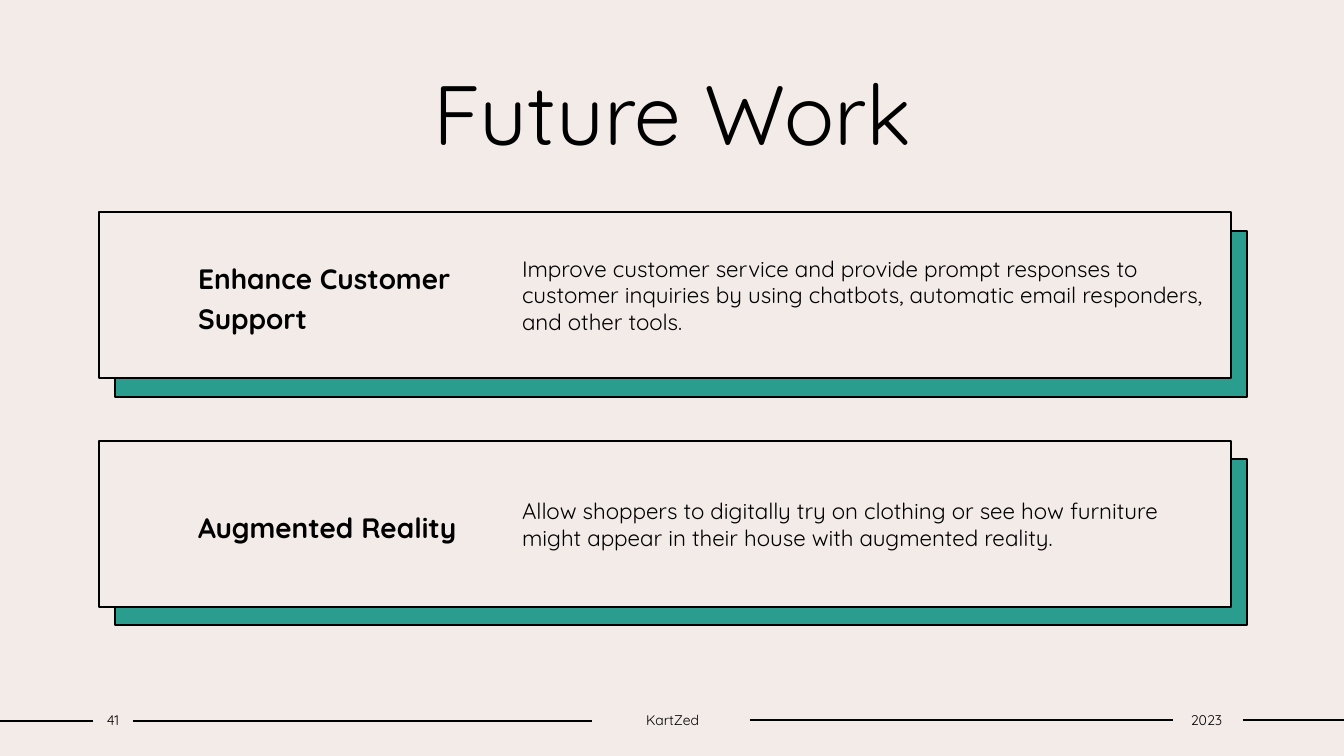
from lxml import etree
from pptx import Presentation
from pptx import util as u
from pptx.dml.color import RGBColor
from pptx.enum import shapes, text
from pptx.oxml import ns

COLORS = {"paper": "F3EBE8", "teal": "2A9D8F", "ink": "000000"}
RGB = {name: RGBColor.from_string(value) for name, value in COLORS.items()}


def px(*lengths):
    return [u.Emu(round(n * 914400 / 100.8)) for n in lengths]


def write(shape, words, size, align, spacing=1.0, bold=False, insets=(10, 5, 10, 5)):
    frame = shape.text_frame
    frame.text = words
    paragraph = frame.paragraphs[0]
    properties = paragraph._p.get_or_add_pPr()
    properties.set("marL", "0")
    properties.set("indent", "0")
    etree.SubElement(properties, ns.qn("a:buNone"))
    left, top, right, bottom = px(*insets)
    formats = [
        (frame, {"word_wrap": True, "auto_size": text.MSO_AUTO_SIZE.NONE,
                 "vertical_anchor": text.MSO_ANCHOR.MIDDLE,
                 "margin_left": left, "margin_top": top,
                 "margin_right": right, "margin_bottom": bottom}),
        (paragraph, {"alignment": align, "line_spacing": spacing, "space_before": u.Pt(0)}),
        (paragraph.runs[0].font, {"name": "Quicksand", "size": u.Pt(size), "bold": bold}),
    ]
    for target, values in formats:
        for key, value in values.items():
            setattr(target, key, value)
    paragraph.runs[0].font.color.rgb = RGB["ink"]


deck = Presentation()
deck.slide_width, deck.slide_height = px(1344, 756)
slide = deck.slides.add_slide(deck.slide_layouts[4])
slide.background.fill.solid()
slide.background.fill.fore_color.rgb = RGB["paper"]
LEFT, CENTER = text.PP_ALIGN.LEFT, text.PP_ALIGN.CENTER

title = slide.shapes.title
title.left, title.top, title.width, title.height = px(126, 56, 1093, 112)
write(title, "Future Work", 60, CENTER)

for start, end, y in [(0, 93, 721), (133, 592, 721), (750, 1173, 720), (1243, 1344, 720)]:
    rule = slide.shapes.add_connector(shapes.MSO_CONNECTOR.STRAIGHT, *px(start, y, end, y))
    rule.line.color.rgb = RGB["ink"]
    rule.line.width = u.Pt(1)
    etree.SubElement(rule.element.spPr, ns.qn("a:effectLst"))
    title.element.addprevious(rule.element)

ideas = [
    (212, 231, 1, "Enhance Customer Support",
     "Improve customer service and provide prompt responses to customer inquiries "
     "by using chatbots, automatic email responders, and other tools."),
    (441, 459, 3, "Augmented Reality",
     "Allow shoppers to digitally try on clothing or see how furniture might appear "
     "in their house with augmented reality."),
]
for top, backing_top, index, heading, detail in ideas:
    backing = slide.shapes.add_shape(shapes.MSO_SHAPE.RECTANGLE, *px(115, backing_top, 1132, 166))
    backing.shadow.inherit = False
    title.element.addprevious(backing.element)

    panel, description = slide.placeholders[index], slide.placeholders[index + 1]
    panel.left, panel.top, panel.width, panel.height = px(99, top, 1132, 166)
    for box, color in [(backing, "teal"), (panel, "paper")]:
        box.fill.solid()
        box.fill.fore_color.rgb = RGB[color]
        box.line.color.rgb = RGB["ink"]
        box.line.width = u.Pt(2)
    write(panel, heading, 20, LEFT, spacing=1.2, bold=True, insets=(99, 5, 716, 5))

    description.left, description.top, description.width, description.height = px(
        512, top + 10, 707, 146)
    write(description, detail, 16, LEFT)

for left, width, label in [(93, 40, "41"), (592, 161, "KartZed"), (1171, 71, "2023")]:
    footer = slide.shapes.add_textbox(*px(left, 706, width, 27))
    write(footer, label, 10, CENTER, insets=(0, 5, 0, 5))

deck.save("out.pptx")
